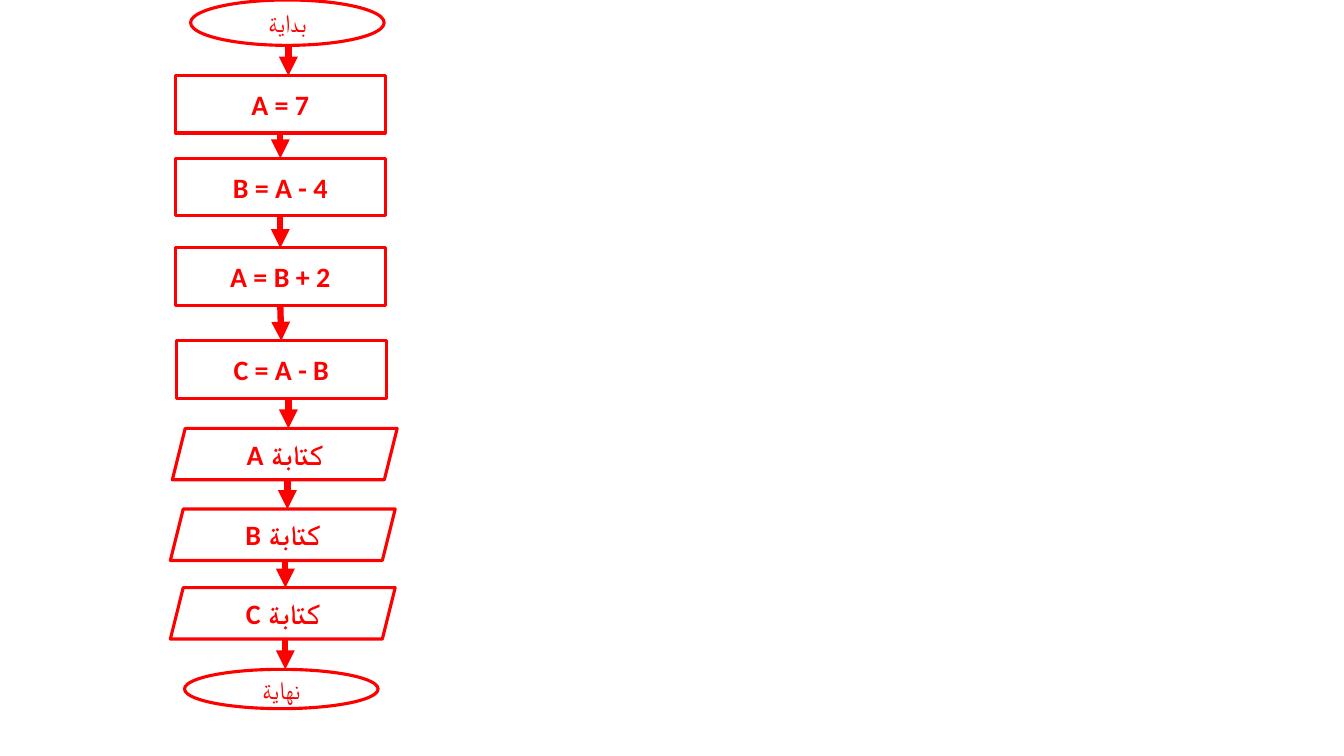
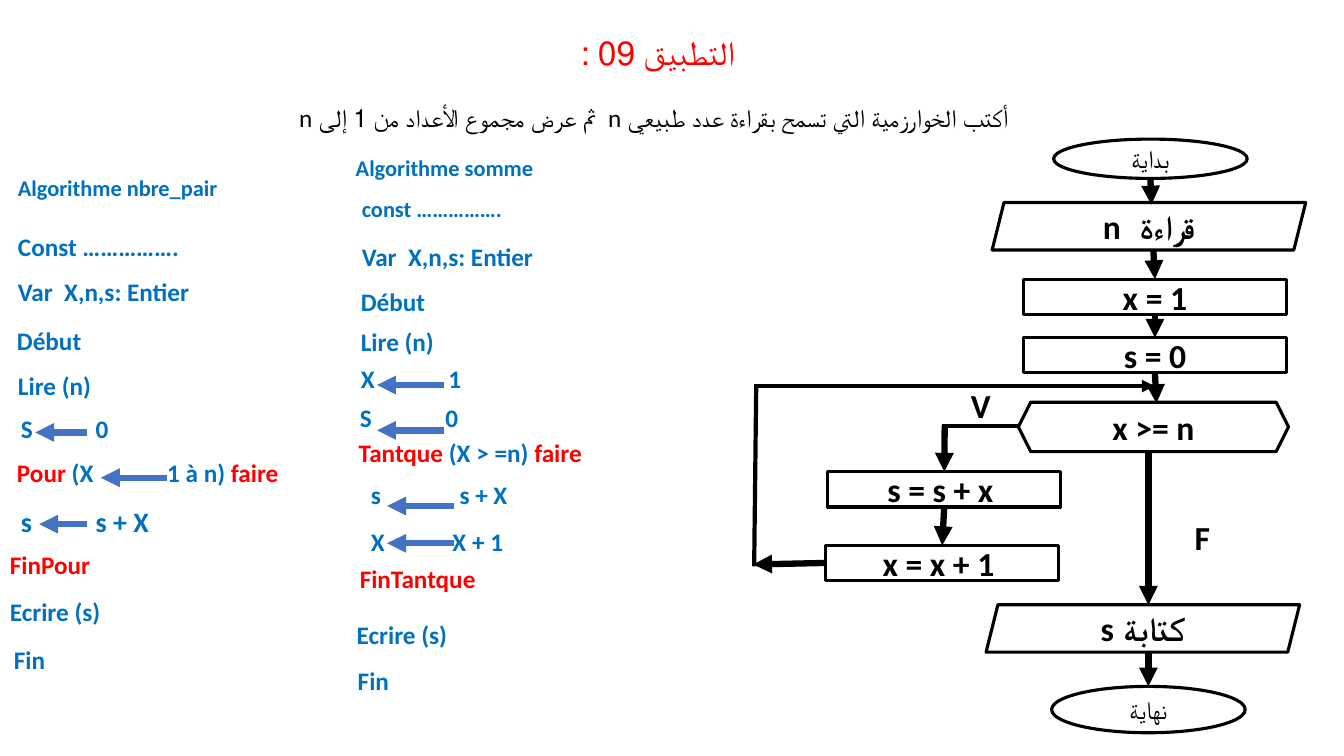
from dataclasses import dataclass
from itertools import pairwise
from typing import Optional

from lxml import etree
from pptx import Presentation
from pptx.dml.color import RGBColor
from pptx.enum.shapes import MSO_CONNECTOR, MSO_SHAPE
from pptx.enum.text import MSO_ANCHOR, MSO_AUTO_SIZE, PP_ALIGN
from pptx.oxml.ns import qn
from pptx.util import Inches, Pt

# Shared look
RED, BLACK, WHITE = "FF0000", "000000", "FFFFFF"
BLUE, STEEL = "0070C0", "4472C4"
SANS, ROUND = "Calibri", "Lato"
OVAL, RECT = MSO_SHAPE.OVAL, MSO_SHAPE.RECTANGLE
SLANT, HEX = MSO_SHAPE.PARALLELOGRAM, MSO_SHAPE.HEXAGON
STRAIGHT = MSO_CONNECTOR.STRAIGHT
CENTER, MIDDLE = PP_ALIGN.CENTER, MSO_ANCHOR.MIDDLE
GROW = MSO_AUTO_SIZE.SHAPE_TO_FIT_TEXT
TOP, LEFT, BOTTOM = 0, 1, 2
EDGE, THIN, THICK = 2.25, 3, 4.5


@dataclass
class Node:
    kind: int
    x: float
    y: float
    w: float
    h: float
    text: str
    into: float = 0  # x of the arrow that leads into the node


@dataclass
class Run:
    text: str
    color: str
    size: float = 18
    font: str = SANS
    bold: bool = True


@dataclass
class Code:
    x: float
    y: float
    runs: list[Run]
    tab: float = 0
    w: float = 2.97


@dataclass
class Arrow:
    x1: float
    y1: float
    x2: float
    y2: float
    width: float = THICK
    head: bool = True
    start: Optional[tuple] = None  # node text and side
    end: Optional[tuple] = None


def rgb(value: str) -> RGBColor:
    return RGBColor.from_string(value)


def write(para, runs: list[Run], rtl: bool = False) -> None:
    if rtl:
        para._p.get_or_add_pPr().set("rtl", "1")
    for item in runs:
        run = para.add_run()
        run.text = item.text
        font = run.font
        font.name, font.size, font.bold = item.font, Pt(item.size), item.bold
        font.color.rgb = rgb(item.color)


def add_node(slide, node: Node, color: str, size: float):
    shape = slide.shapes.add_shape(
        node.kind, Inches(node.x), Inches(node.y), Inches(node.w), Inches(node.h))
    shape.shadow.inherit = False
    shape.fill.solid()
    shape.fill.fore_color.rgb = rgb(WHITE)
    shape.line.color.rgb = rgb(color)
    shape.line.width = Pt(EDGE)
    frame = shape.text_frame
    frame.vertical_anchor = MIDDLE
    para = frame.paragraphs[0]
    para.alignment = CENTER
    if node.kind == OVAL:
        run = Run(node.text, color, 18, ROUND, False)
    else:
        run = Run(node.text, color, size)
    write(para, [run], rtl=node.kind == SLANT)
    return shape


def add_arrow(slide, arrow: Arrow, color: str, nodes: dict) -> None:
    line = slide.shapes.add_connector(
        STRAIGHT, Inches(arrow.x1), Inches(arrow.y1), Inches(arrow.x2), Inches(arrow.y2))
    if arrow.start:
        line.begin_connect(nodes[arrow.start[0]], arrow.start[1])
    if arrow.end:
        line.end_connect(nodes[arrow.end[0]], arrow.end[1])
    line.line.color.rgb = rgb(color)
    line.line.width = Pt(arrow.width)
    if arrow.head:
        etree.SubElement(line.line._get_or_add_ln(), qn("a:tailEnd"), type="triangle")
    etree.SubElement(line._element.spPr, qn("a:effectLst"))


def add_box(slide, x: float, y: float, w: float, h: float):
    box = slide.shapes.add_textbox(Inches(x), Inches(y), Inches(w), Inches(h))
    frame = box.text_frame
    frame.word_wrap = True
    frame.auto_size = GROW
    return frame


def add_code(slide, code: Code) -> None:
    para = add_box(slide, code.x, code.y, code.w, 0.4).paragraphs[0]
    write(para, code.runs)
    if code.tab:
        tabs = etree.SubElement(para._p.get_or_add_pPr(), qn("a:tabLst"))
        etree.SubElement(tabs, qn("a:tab"), pos=str(Inches(code.tab)), algn="l")


def blue(text: str, size: float = 18) -> list[Run]:
    return [Run(text, BLUE, size)]


def red(text: str) -> list[Run]:
    return [Run(text, RED)]


# Slide 1: one chain of steps
STEPS = [
    Node(OVAL, 1.89, 0, 1.92, 0.45, "بداية"),
    Node(RECT, 1.74, 0.75, 2.08, 0.57, "A = 7", 2.86),
    Node(RECT, 1.74, 1.57, 2.08, 0.57, "B = A - 4", 2.78),
    Node(RECT, 1.74, 2.46, 2.08, 0.57, "A = B + 2", 2.78),
    Node(RECT, 1.75, 3.38, 2.08, 0.57, "C = A - B", 2.79),
    Node(SLANT, 1.71, 4.25, 2.23, 0.51, "كتابة A", 2.86),
    Node(SLANT, 1.69, 5.05, 2.23, 0.51, "كتابة B", 2.85),
    Node(SLANT, 1.69, 5.83, 2.23, 0.51, "كتابة C", 2.83),
    Node(OVAL, 1.83, 6.64, 1.92, 0.39, "نهاية", 2.83),
]

# Slide 2: loop chart
LOOP = [
    Node(OVAL, 10.45, 1.38, 1.92, 0.39, "بداية"),
    Node(SLANT, 9.84, 2.01, 3.11, 0.47, "قراءة  n"),
    Node(RECT, 10.15, 2.77, 2.61, 0.35, "x = 1"),
    Node(RECT, 10.15, 3.35, 2.61, 0.35, "s = 0"),
    Node(HEX, 10.1, 3.99, 2.68, 0.49, "x >= n"),
    Node(RECT, 8.21, 4.68, 2.31, 0.35, "s = s + x "),
    Node(RECT, 8.19, 5.41, 2.31, 0.35, "x = x + 1 "),
    Node(SLANT, 9.78, 6, 3.11, 0.47, "كتابة s"),
    Node(OVAL, 10.43, 6.81, 1.92, 0.46, "نهاية"),
]
ADD, NEXT = "s = s + x ", "x = x + 1 "
FLOW = [
    Arrow(11.41, 1.77, 11.42, 2.03),
    Arrow(11.44, 2.49, 11.45, 2.77, end=("x = 1", TOP)),
    Arrow(11.45, 3.12, 11.45, 3.35, start=("x = 1", BOTTOM), end=("s = 0", TOP)),
    Arrow(11.45, 3.7, 11.47, 4, start=("s = 0", BOTTOM)),
    Arrow(11.39, 4.47, 11.39, 6),
    Arrow(11.39, 6.46, 11.39, 6.81),
    Arrow(10.11, 4.23, 9.34, 4.23, THIN, False),
    Arrow(9.37, 4.22, 9.36, 4.68, end=(ADD, TOP)),
    Arrow(9.36, 5.03, 9.34, 5.41, start=(ADD, BOTTOM), end=(NEXT, TOP)),
    Arrow(8.19, 5.58, 7.47, 5.6, start=(NEXT, LEFT)),
    Arrow(7.48, 5.62, 7.5, 3.85, THIN, False),
    Arrow(7.48, 3.83, 11.45, 3.83, THIN),
]

# Slide 2: code columns, a tab leaves room for each arrow
CODES = [
    Code(3.43, 1.48, blue("Algorithme somme", 16), w=3.19),
    Code(3.49, 1.89, blue("const …………….", 16)),
    Code(3.49, 2.34, blue("Var  X,n,s: Entier")),
    Code(3.48, 2.79, blue("Début")),
    Code(3.48, 3.19, blue("Lire (n)")),
    Code(3.48, 3.56, blue("X\t1"), 0.87),
    Code(3.47, 3.94, blue("S\t0"), 0.85),
    Code(3.46, 4.29, red("Tantque") + blue(" (X > =n) ") + red("faire")),
    Code(3.58, 4.71, blue("s\ts + X"), 0.88),
    Code(3.58, 5.17, blue("X\tX + 1"), 0.81),
    Code(3.47, 5.54, red("FinTantque")),
    Code(3.44, 6.09, blue("Ecrire (s)")),
    Code(3.45, 6.55, blue("Fin")),
    Code(0.08, 1.68, blue("Algorithme nbre_pair", 16), w=3.16),
    Code(0.08, 2.25, blue("Const …………….")),
    Code(0.08, 2.69, blue("Var  X,n,s: Entier")),
    Code(0.07, 3.18, blue("Début")),
    Code(0.08, 3.62, blue("Lire (n)")),
    Code(0.11, 4.05, blue("S\t0"), 0.74, 4.35),
    Code(0.07, 4.49, red("Pour") + blue(" (X\t1 à n) ") + red("faire"), 1.49, 3.48),
    Code(0.11, 4.96, blue("s\ts + X", 20), 0.74, 4.35),
    Code(0, 5.4, red("FinPour")),
    Code(0, 5.87, blue("Ecrire (s)")),
    Code(0.04, 6.34, blue("Fin")),
    Code(11.75, 5.08, [Run("F", BLACK, 24)], w=0.39),
    Code(9.53, 3.77, [Run("V", BLACK, 24)], w=0.39),
]
# Assign arrows: right end, left end, height
SETS = [
    (4.4, 3.74, 3.82), (4.4, 3.74, 4.27), (4.5, 3.84, 5.02), (4.5, 3.84, 5.39),
    (0.86, 0.35, 4.29), (1.66, 1, 4.74), (0.86, 0.39, 5.2),
]


def draw_chain(slide) -> None:
    nodes = {step.text: add_node(slide, step, RED, 20) for step in STEPS}
    for prev, step in pairwise(STEPS):
        arrow = Arrow(step.into, prev.y + prev.h, step.into, step.y)
        if prev.kind == step.kind == RECT:
            arrow.start, arrow.end = (prev.text, BOTTOM), (step.text, TOP)
        add_arrow(slide, arrow, RED, nodes)


def draw_title(slide) -> None:
    frame = add_box(slide, 0.08, 0.27, 12.81, 1.11)
    head, task = frame.paragraphs[0], frame.add_paragraph()
    head.alignment = task.alignment = CENTER
    task.line_spacing = 2.0
    write(head, [Run("التطبيق 09 : ", RED, 24, ROUND, False)], rtl=True)
    parts = [
        ("أكتب الخوارزمية التي تسمح بقراءة عدد طبيعي ", ROUND), ("n  ", SANS),
        ("ثم عرض مجموع الأعداد من 1 إلى ", ROUND), ("n", SANS),
    ]
    write(task, [Run(text, BLACK, 18, font, False) for text, font in parts], rtl=True)


def draw_loop(slide) -> None:
    draw_title(slide)
    nodes = {node.text: add_node(slide, node, BLACK, 24) for node in LOOP}
    for arrow in FLOW:
        add_arrow(slide, arrow, BLACK, nodes)
    for code in CODES:
        add_code(slide, code)
    for right, left, y in SETS:
        add_arrow(slide, Arrow(right, y, left, y), STEEL, nodes)


def main() -> None:
    deck = Presentation()
    deck.slide_width, deck.slide_height = Inches(13.33), Inches(7.5)
    blank = deck.slide_layouts[6]
    for draw in (draw_chain, draw_loop):
        draw(deck.slides.add_slide(blank))
    deck.save("out.pptx")


if __name__ == "__main__":
    main()
